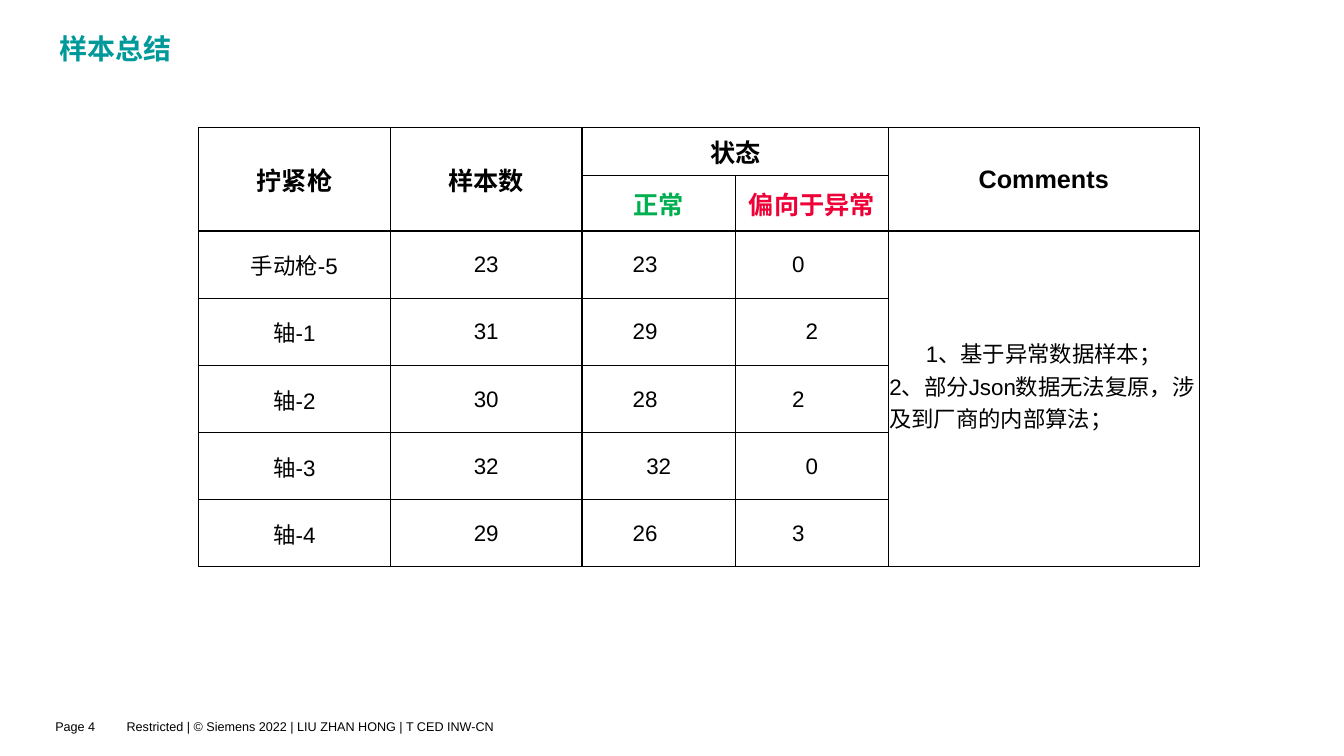
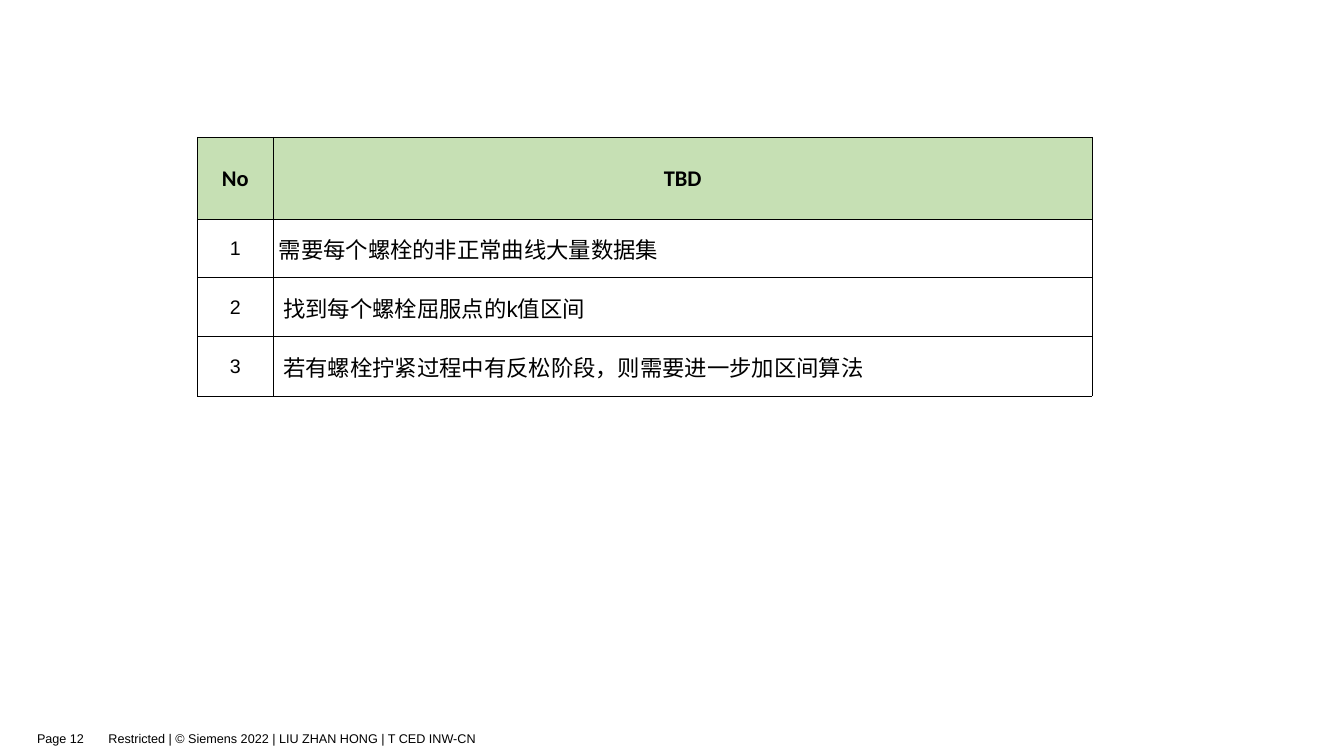
"""Build the sample summary and open points slides."""
from dataclasses import dataclass, replace

from lxml import etree
from pptx import Presentation, slide as sl, table as tb
from pptx.dml import color as co
from pptx.enum import text as et
from pptx.oxml import ns
from pptx.text import text as tx
from pptx.util import Pt

HUES = {
    "teal": "009999",
    "ink": "000000",
    "good": "00B050",
    "bad": "EF0137",
    "head": "C6E0B4",
    "white": "FFFFFF",
}
FOOT = "Restricted | © Siemens 2022 | LIU ZHAN HONG | T CED INW-CN"
MID, LEFT = et.PP_ALIGN.CENTER, et.PP_ALIGN.LEFT
PAD = 0.7


@dataclass(frozen=True)
class Style:
    size: float = 16
    bold: bool = False
    hue: str = "ink"
    font: str = "Arial"


@dataclass(frozen=True)
class Item:
    text: str
    style: Style = Style()
    fill: str = "white"
    aligns: tuple = (MID,)
    left: float = PAD
    right: float = PAD
    base: float = 0


@dataclass(frozen=True)
class Grid:
    left: float
    top: float
    cols: tuple
    rows: tuple
    line: float


HEAD = Style(18, bold=True)
NOTE = Style(9)


def rgb(hue: str) -> co.RGBColor:
    return co.RGBColor.from_string(HUES[hue])


def write(frame: tx.TextFrame, text: str, style: Style, aligns: tuple = (LEFT,)) -> None:
    frame.text = text
    for para, align in zip(frame.paragraphs, aligns):
        para.alignment = align
        for run in para.runs:
            run.font.size = Pt(style.size)
            run.font.bold = style.bold
            run.font.name = style.font
            run.font.color.rgb = rgb(style.hue)


def edge(cell: tb._Cell, width: float) -> None:
    props = cell._tc.get_or_add_tcPr()
    for side in "LRTB":
        line = etree.SubElement(props, ns.qn(f"a:ln{side}"), w=str(int(Pt(width))))
        fill = etree.SubElement(line, ns.qn("a:solidFill"))
        etree.SubElement(fill, ns.qn("a:srgbClr"), val=HUES["ink"])


def put(cell: tb._Cell, item: Item) -> None:
    write(cell.text_frame, item.text, item.style, item.aligns)
    cell.vertical_anchor = et.MSO_ANCHOR.MIDDLE
    cell.margin_left, cell.margin_right = Pt(item.left), Pt(item.right)
    cell.margin_top, cell.margin_bottom = Pt(PAD), Pt(item.base)
    cell.fill.solid()
    cell.fill.fore_color.rgb = rgb(item.fill)


def table(page: sl.Slide, grid: Grid) -> tb.Table:
    made = page.shapes.add_table(
        len(grid.rows), len(grid.cols), Pt(grid.left), Pt(grid.top),
        Pt(sum(grid.cols)), Pt(sum(grid.rows))).table
    made.first_row = made.horz_banding = False
    for col, width in zip(made.columns, grid.cols):
        col.width = Pt(width)
    for row, height in zip(made.rows, grid.rows):
        row.height = Pt(height)
    for cell in made.iter_cells():
        edge(cell, grid.line)
    return made


def label(page: sl.Slide, text: str, left: float, top: float, width: float) -> None:
    frame = page.shapes.add_textbox(Pt(left), Pt(top), Pt(width), Pt(43)).text_frame
    frame.word_wrap = True
    write(frame, text, NOTE)


def footer(page: sl.Slide, num: int, left: float, top: float) -> None:
    label(page, FOOT, left + 51, top, 726)
    label(page, f"Page {num}", left, top, 51)


def title(page: sl.Slide, text: str) -> None:
    box = page.shapes.title
    box.left, box.top, box.width, box.height = Pt(42.5), Pt(25), Pt(777), Pt(45.5)
    frame = box.text_frame
    frame.auto_size = et.MSO_AUTO_SIZE.NONE
    frame.vertical_anchor = et.MSO_ANCHOR.BOTTOM
    frame.margin_left = frame.margin_top = 0
    frame.margin_right, frame.margin_bottom = Pt(25), Pt(24)
    write(frame, text, Style(20, bold=True, hue="teal"))
    frame.paragraphs[0].line_spacing = 1.1


def samples(page: sl.Slide) -> None:
    title(page, "样本总结")
    grid = table(page, Grid(
        141.8, 91, (137, 137, 109.4, 109.4, 222), (34.4, 39.6) + (48,) * 5, 1))
    for top, left, low, right in (
            (0, 0, 1, 0), (0, 1, 1, 1), (0, 2, 0, 3), (0, 4, 1, 4), (2, 4, 6, 4)):
        grid.cell(top, left).merge(grid.cell(low, right))
    for col, text in ((0, "拧紧枪"), (1, "样本数"), (2, "状态"), (4, "Comments")):
        put(grid.cell(0, col), Item(text, HEAD))
    for col, text, hue in ((2, "正常", "good"), (3, "偏向于异常", "bad")):
        put(grid.cell(1, col), Item(text, replace(HEAD, hue=hue)))
    data = (
        ("手动枪-5", 23, 23, 0),
        ("轴-1", 31, 29, 2),
        ("轴-2", 30, 28, 2),
        ("轴-3", 32, 32, 0),
        ("轴-4", 29, 26, 3),
    )
    even = {(3, 3), (5, 2), (5, 3)}
    for row, vals in enumerate(data, 2):
        for col, val in enumerate(vals):
            moved = col > 1 and (row, col) not in even
            put(grid.cell(row, col), Item(str(val), right=20 if moved else PAD))
    put(grid.cell(2, 4), Item(
        "1、基于异常数据样本；\n2、部分Json数据无法复原，涉及到厂商的内部算法；",
        aligns=(MID, LEFT), base=20))
    footer(page, 4, 32.4, 509.8)


def points(page: sl.Slide) -> None:
    grid = table(page, Grid(141.1, 98, (54, 585), (58.6, 41.4, 42.4, 42.4), 0.5))
    for col, text in enumerate(("No", "TBD")):
        put(grid.cell(0, col), Item(text, Style(bold=True, font="Calibri"), "head"))
    data = (
        ("需要每个螺栓的非正常曲线大量数据集", 4),
        ("找到每个螺栓屈服点的k值区间", 7.2),
        ("若有螺栓拧紧过程中有反松阶段，则需要进一步加区间算法", 7.2),
    )
    for row, (text, left) in enumerate(data, 1):
        put(grid.cell(row, 0), Item(str(row), Style(14)))
        put(grid.cell(row, 1), Item(text, aligns=(LEFT,), left=left))
    footer(page, 12, 19.4, 518.4)


def main() -> None:
    deck = Presentation()
    deck.slide_width, deck.slide_height = Pt(960), Pt(540)
    for layout, draw in ((5, samples), (6, points)):
        draw(deck.slides.add_slide(deck.slide_layouts[layout]))
    deck.save("out.pptx")


if __name__ == "__main__":
    main()
